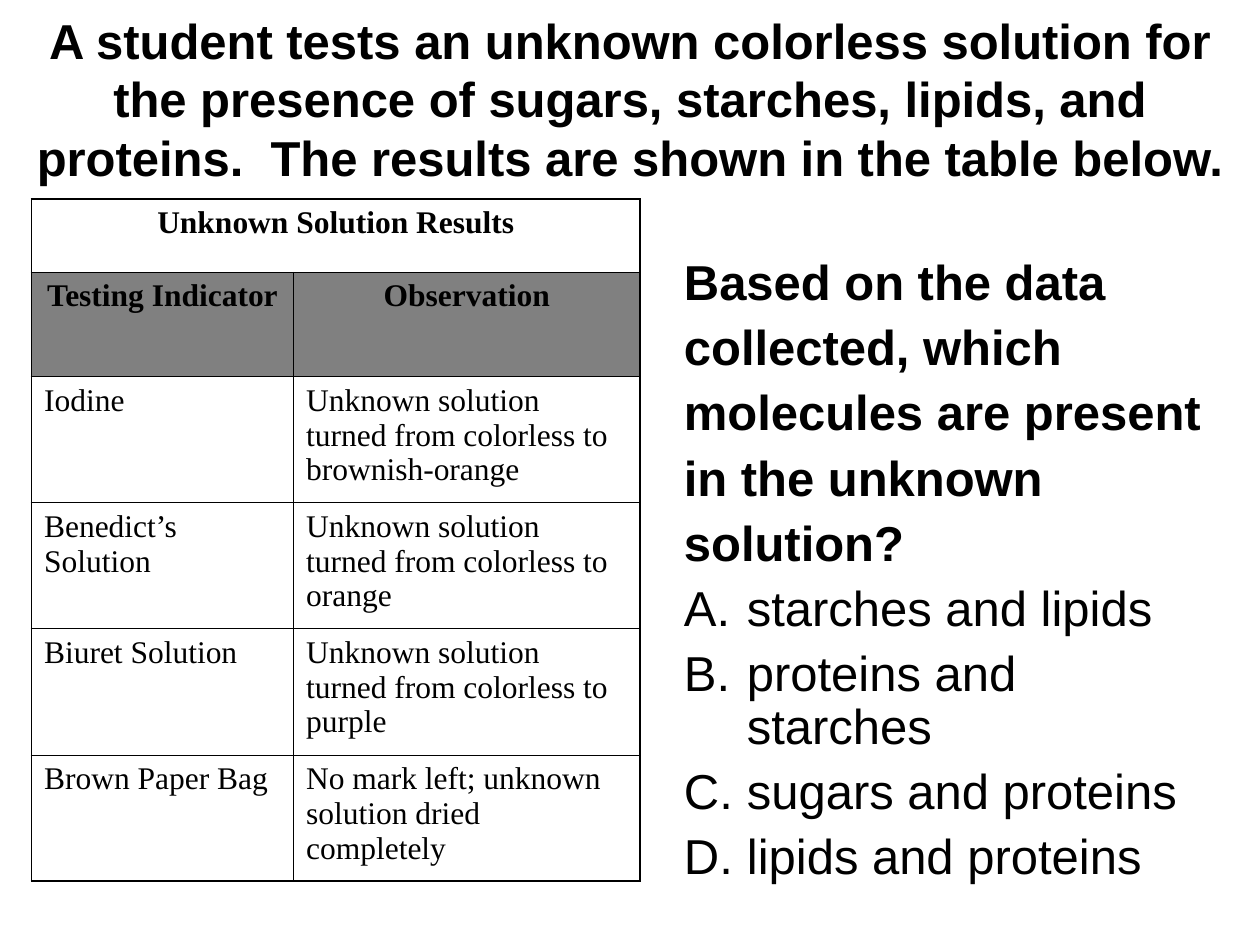
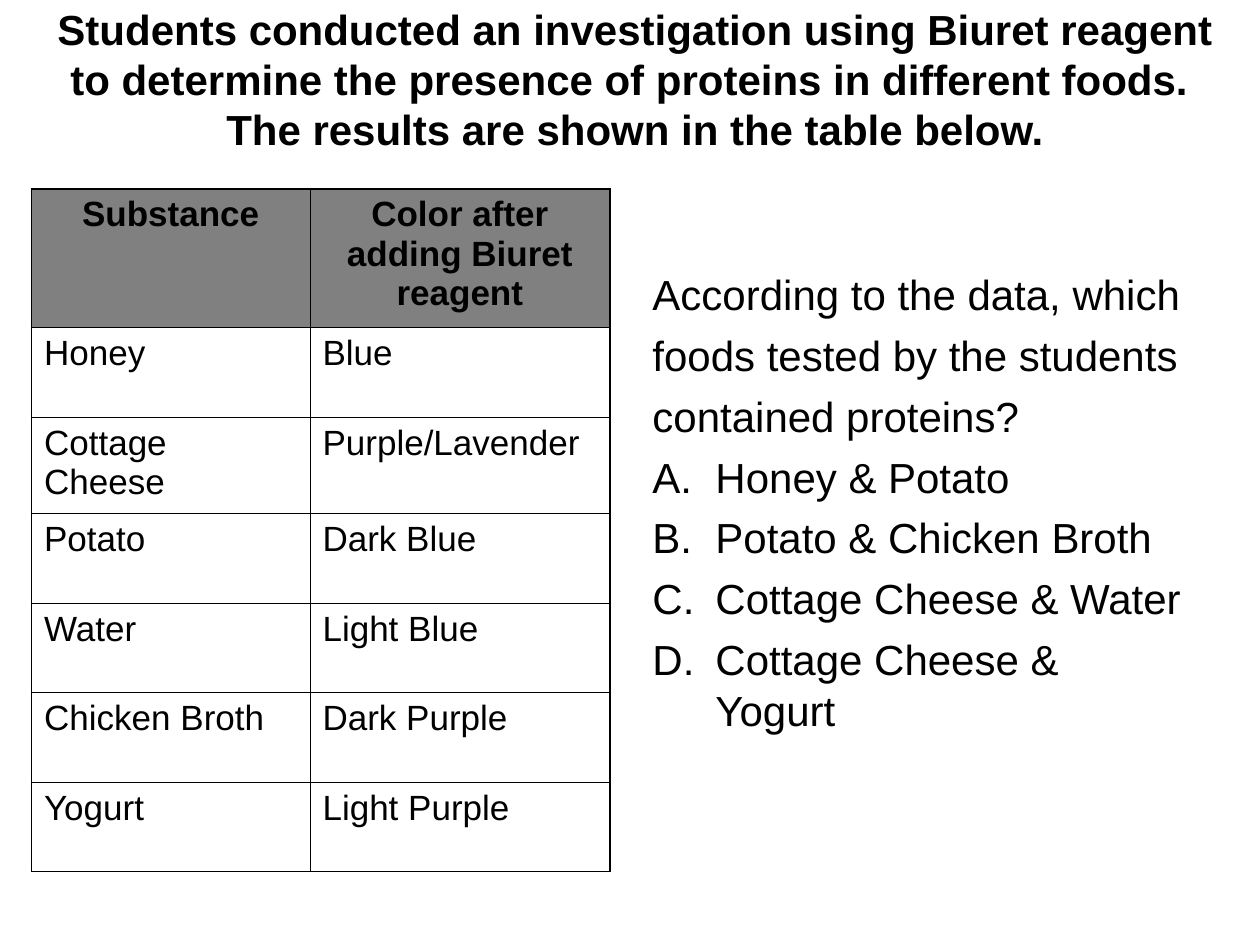
import lxml.etree
import pptx
import pptx.dml.color
import pptx.enum.text
import pptx.oxml.ns
import pptx.util

Inches = pptx.util.Inches
Pt = pptx.util.Pt
ALIGN = pptx.enum.text.PP_ALIGN
ANCHOR = pptx.enum.text.MSO_ANCHOR
qn = pptx.oxml.ns.qn

COLORS = {"ink": "000000", "header": "808080"}
OUTER, INNER = Pt(1.08), Pt(0.45)


def rgb(name):
    return pptx.dml.color.RGBColor.from_string(COLORS[name])


def set_all(target, values):
    for name, value in values.items():
        setattr(target, name, value)


def add_color(parent, name):
    lxml.etree.SubElement(parent, qn("a:srgbClr"), val=COLORS[name])


class QuizDeck:
    """Shared style, the presentation and the current slide."""

    font = "Arial"
    indent = Inches(0.5)

    def __init__(self):
        self.presentation = pptx.Presentation()
        set_all(self.presentation,
                {"slide_width": Inches(10), "slide_height": Inches(7.5)})

    def new_slide(self):
        self.slide = self.presentation.slides.add_slide(
            self.presentation.slide_layouts[6])

    def fill_paragraph(self, paragraph, text, size, bold=False, font=None, **layout):
        run = paragraph.add_run()
        run.text = text
        set_all(run.font, {"name": font or self.font, "size": Pt(size), "bold": bold})
        run.font.color.rgb = rgb("ink")
        set_all(paragraph, layout)

    def text_box(self, left, top, width, height, anchor):
        frame = self.slide.shapes.add_textbox(
            Inches(left), Inches(top), Inches(width), Inches(height)).text_frame
        set_all(frame, {"word_wrap": True, "vertical_anchor": anchor})
        return frame

    def title(self, place, text, size):
        frame = self.text_box(*place, ANCHOR.MIDDLE)
        self.fill_paragraph(frame.paragraphs[0], text, size, bold=True,
                            alignment=ALIGN.CENTER)

    def question(self, place, stem, answers, size, bold_stem=False, **spacing):
        """Stem lines followed by lettered answers, all with a hanging indent."""
        frame = self.text_box(*place, ANCHOR.TOP)
        for number, text in enumerate(stem + answers):
            paragraph = frame.add_paragraph() if number else frame.paragraphs[0]
            is_answer = number >= len(stem)
            self.fill_paragraph(paragraph, text, size, bold_stem and not is_answer,
                                alignment=ALIGN.LEFT, **spacing)
            properties = paragraph._p.get_or_add_pPr()
            properties.set("marL", str(self.indent))
            properties.set("indent", str(-self.indent))
            if is_answer:
                add_color(lxml.etree.SubElement(properties, qn("a:buClr")), "ink")
                lxml.etree.SubElement(properties, qn("a:buAutoNum"), type="alphaUcPeriod")

    def borders(self, cell, widths):
        properties = cell._tc.get_or_add_tcPr()
        for side in "LRTB":
            line = lxml.etree.SubElement(
                properties, qn(f"a:ln{side}"), w=str(widths.get(side, INNER)))
            add_color(lxml.etree.SubElement(line, qn("a:solidFill")), "ink")

    def results_table(self, left, top, columns, heights, header, rows, size,
                      caption=None, font=None, **spacing):
        """Grid with a grey header row and an optional caption row above it."""
        lines = ([(caption, "")] if caption else []) + [header] + rows
        header_row = lines.index(header)
        last_row, last_column = len(lines) - 1, len(columns) - 1
        table = self.slide.shapes.add_table(
            len(lines), len(columns), Inches(left), Inches(top),
            Inches(sum(columns)), Inches(sum(heights))).table
        set_all(table, {"first_row": False, "horz_banding": False})
        for column, width in zip(table.columns, columns):
            column.width = Inches(width)
        for row, height in zip(table.rows, heights):
            row.height = Inches(height)
        if caption:
            table.cell(0, 0).merge(table.cell(0, last_column))

        for r, line in enumerate(lines):
            for c, text in enumerate(line):
                cell = table.cell(r, c)
                edges = {"L": c == 0, "T": r == 0, "B": r == last_row,
                         "R": c == last_column or cell.is_merge_origin}
                self.borders(cell, {side: OUTER for side, is_outer in edges.items()
                                    if is_outer})
                if r == header_row:
                    cell.fill.solid()
                    cell.fill.fore_color.rgb = rgb("header")
                else:
                    cell.fill.background()
                if text:
                    heading = r <= header_row
                    self.fill_paragraph(
                        cell.text_frame.paragraphs[0], text, size, heading, font,
                        alignment=ALIGN.CENTER if heading else ALIGN.LEFT, **spacing)


def main():
    deck = QuizDeck()

    # Unknown solution question
    deck.new_slide()
    deck.title(
        (0, 0.17, 10, 1.22),
        "A student tests an unknown colorless solution for the presence of sugars, "
        "starches, lipids, and proteins.  The results are shown in the table below.", 28)
    deck.question(
        (5.33, 2, 4.33, 5.33),
        ["Based on the data", "collected, which", "molecules are present",
         "in the unknown", "solution?"],
        ["starches and lipids", "proteins and starches", "sugars and proteins",
         "lipids and proteins"],
        28, bold_stem=True, line_spacing=0.9, space_before=Pt(7))
    turned = "Unknown solution turned from colorless to "
    deck.results_table(
        0.25, 1.58, [2.08, 2.75], [0.58, 0.83] + [1] * 4,
        ("Testing Indicator", "Observation"),
        [("Iodine", turned + "brownish-orange"),
         ("Benedict’s Solution", turned + "orange"),
         ("Biuret Solution", turned + "purple"),
         ("Brown Paper Bag", "No mark left; unknown solution dried completely")],
        18, caption="Unknown Solution Results", font="Times New Roman")

    # Biuret reagent question
    deck.new_slide()
    deck.title(
        (0.33, 0, 9.42, 1.25),
        "Students conducted an investigation using Biuret reagent to determine the "
        "presence of proteins in different foods.  The results are shown in the "
        "table below.", 24)
    deck.question(
        (5.08, 2.08, 4.42, 4.95),
        ["According to the data, which", "foods tested by the students",
         "contained proteins?"],
        ["Honey & Potato", "Potato & Chicken Broth", "Cottage Cheese & Water",
         "Cottage Cheese & Yogurt"],
        24, space_before=Pt(6))
    deck.results_table(
        0.25, 1.5, [2.21, 2.38], [1.1] + [0.71] * 6,
        ("Substance", "Color after adding Biuret reagent"),
        [("Honey", "Blue"), ("Cottage Cheese", "Purple/Lavender"),
         ("Potato", "Dark Blue"), ("Water", "Light Blue"),
         ("Chicken Broth", "Dark Purple"), ("Yogurt", "Light Purple")],
        20, space_before=Pt(5))

    deck.presentation.save("out.pptx")


if __name__ == "__main__":
    main()
